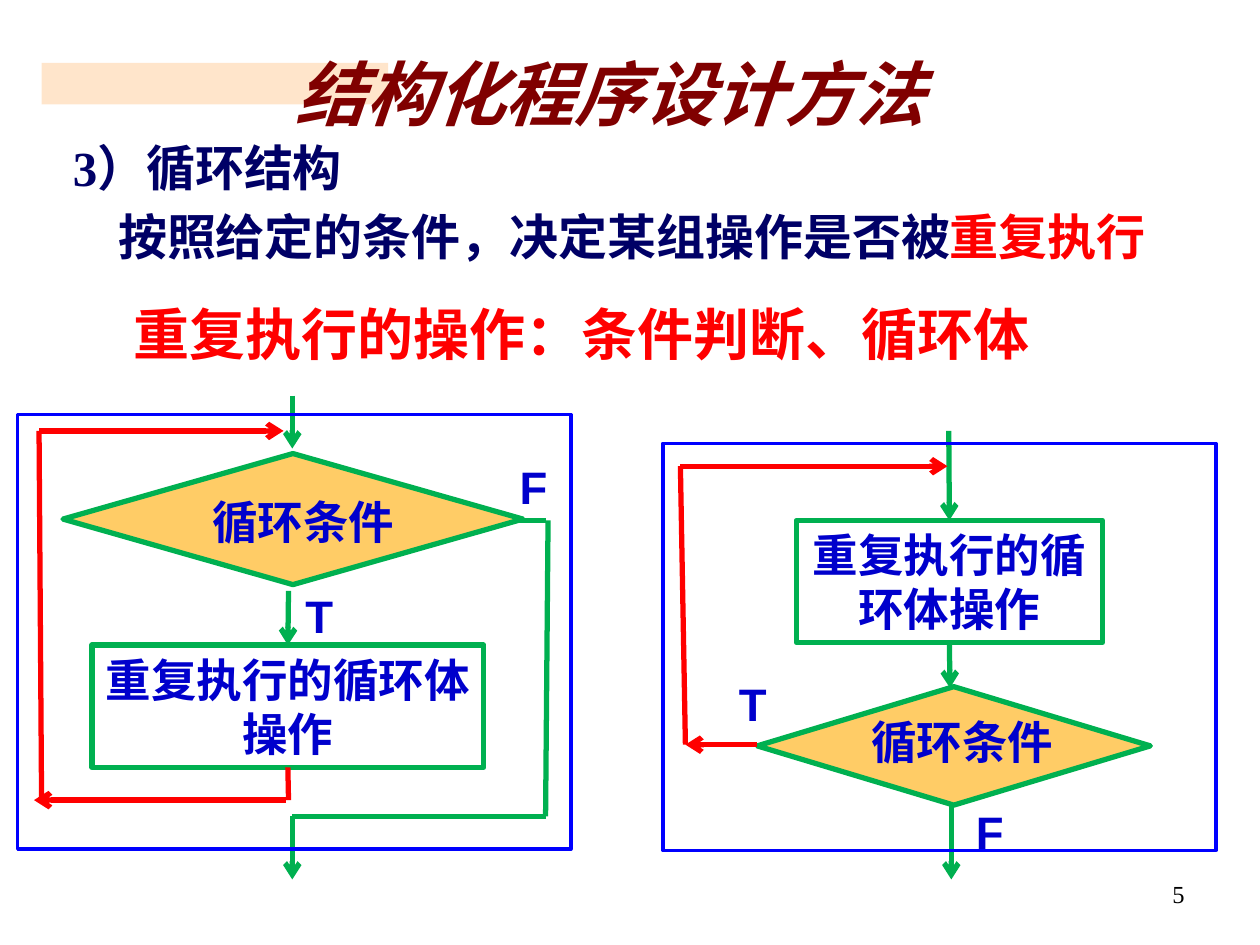
from dataclasses import dataclass
from typing import Optional

from lxml.etree import SubElement
from pptx import Presentation
from pptx.dml.color import RGBColor
from pptx.enum.shapes import MSO_CONNECTOR, MSO_SHAPE
from pptx.enum.text import MSO_ANCHOR, PP_ALIGN
from pptx.oxml.ns import qn
from pptx.util import Inches, Pt

BLACK = RGBColor(0x00, 0x00, 0x00)
WHITE = RGBColor(0xFF, 0xFF, 0xFF)
PEACH = RGBColor(0xFF, 0xCC, 0x99)
MAROON = RGBColor(0x80, 0x00, 0x00)
NAVY = RGBColor(0x00, 0x00, 0x66)
RED = RGBColor(0xFF, 0x00, 0x00)
GREEN = RGBColor(0x00, 0xB0, 0x50)
AMBER = RGBColor(0xFF, 0xCC, 0x66)
LABEL_BLUE = RGBColor(0x00, 0x00, 0xCC)
FRAME_BLUE = RGBColor(0x00, 0x00, 0xFF)

TOP, BOTTOM = 0, 2
CONDITION = "循环条件"
LOOP_BODY = "重复执行的循环体操作"
LABEL = {"size": Pt(26), "name": "Arial", "bold": True}
BODY = {"size": Pt(28), "name": "Times New Roman", "bold": True}


@dataclass
class Box:
    left: float
    top: float
    width: float
    height: float

    def inches(self) -> list:
        return [Inches(v) for v in (self.left, self.top, self.width, self.height)]


@dataclass
class Line:
    start: tuple
    end: tuple
    color: RGBColor = GREEN
    arrow: bool = False
    begin_side: Optional[int] = None
    end_side: Optional[int] = None


@dataclass
class Flow:
    frame: Box
    process: Box
    process_fill: Optional[RGBColor]
    decision: Box
    labels: list
    lines: list


def add_run(p, text: str, fmt: dict, color: RGBColor):
    r = p.add_run()
    r.text = text
    for name, value in fmt.items():
        setattr(r.font, name, value)
    r.font.color.rgb = color
    return r


def add_text(s, box: Box, text: str, fmt: dict, color: RGBColor,
             align=PP_ALIGN.CENTER, wrap: bool = True):
    tf = s.shapes.add_textbox(*box.inches()).text_frame
    tf.word_wrap = wrap
    p = tf.paragraphs[0]
    p.alignment = align
    add_run(p, text, fmt, color)
    return tf


def add_box(s, kind, box: Box, fill: Optional[RGBColor] = None,
            line: Optional[RGBColor] = None, width: float = 3):
    sp = s.shapes.add_shape(kind, *box.inches())
    sp.shadow.inherit = False
    if fill is None:
        sp.fill.background()
    else:
        sp.fill.solid()
        sp.fill.fore_color.rgb = fill
    if line is None:
        sp.line.fill.background()
    else:
        sp.line.color.rgb = line
        sp.line.width = Pt(width)
    return sp


def add_line(s, line: Line, process) -> None:
    points = [Inches(v) for v in (*line.start, *line.end)]
    cxn = s.shapes.add_connector(MSO_CONNECTOR.STRAIGHT, *points)
    if line.begin_side is not None:
        cxn.begin_connect(process, line.begin_side)
    if line.end_side is not None:
        cxn.end_connect(process, line.end_side)
    cxn.line.color.rgb = line.color
    cxn.line.width = Pt(3)
    if line.arrow:
        SubElement(cxn.line._get_or_add_ln(), qn("a:tailEnd"), type="arrow")
    SubElement(cxn._element.spPr, qn("a:effectLst"))


def add_flow(s, flow: Flow) -> None:
    process = add_box(s, MSO_SHAPE.RECTANGLE, flow.process, flow.process_fill, GREEN)
    tf = process.text_frame
    tf.word_wrap = True
    p = tf.paragraphs[0]
    p.alignment = PP_ALIGN.CENTER
    add_run(p, LOOP_BODY, LABEL, LABEL_BLUE)
    add_box(s, MSO_SHAPE.FLOWCHART_DECISION, flow.decision, AMBER, GREEN)
    for text, box in flow.labels:
        add_text(s, box, text, LABEL, LABEL_BLUE)
    for line in flow.lines:
        add_line(s, line, process)
    add_box(s, MSO_SHAPE.RECTANGLE, flow.frame, line=FRAME_BLUE, width=2)


FLOWS = [
    Flow(
        frame=Box(0.14, 3.29, 4.39, 3.45),
        process=Box(0.73, 5.12, 3.11, 0.97),
        process_fill=WHITE,
        decision=Box(0.5, 3.6, 3.65, 1.04),
        labels=[(CONDITION, Box(1.33, 3.87, 2.16, 0.54)),
                ("T", Box(2.16, 4.62, 0.75, 0.54)),
                ("F", Box(3.86, 3.59, 0.75, 0.54))],
        lines=[Line((2.32, 3.14), (2.32, 3.56), arrow=True),
               Line((2.29, 4.69), (2.29, 5.12), arrow=True, end_side=TOP),
               Line((2.29, 6.09), (2.29, 6.35), RED, begin_side=BOTTOM),
               Line((2.27, 6.35), (0.27, 6.35), RED, arrow=True),
               Line((0.33, 6.35), (0.31, 3.42), RED),
               Line((0.31, 3.42), (2.25, 3.42), RED, arrow=True),
               Line((4.33, 4.13), (4.11, 4.13)),
               Line((4.33, 6.48), (4.35, 4.13)),
               Line((4.33, 6.48), (2.32, 6.48)),
               Line((2.32, 6.48), (2.32, 6.98), arrow=True)],
    ),
    Flow(
        frame=Box(5.26, 3.52, 4.39, 3.23),
        process=Box(6.32, 4.13, 2.43, 0.97),
        process_fill=None,
        decision=Box(6.01, 5.45, 3.12, 0.94),
        labels=[(CONDITION, Box(6.72, 5.62, 1.84, 0.54)),
                ("T", Box(5.6, 5.32, 0.75, 0.54)),
                ("F", Box(7.48, 6.33, 0.75, 0.54))],
        lines=[Line((7.53, 3.42), (7.53, 4.13), arrow=True, end_side=TOP),
               Line((7.53, 5.1), (7.54, 5.46), arrow=True, begin_side=BOTTOM),
               Line((6.01, 5.91), (5.44, 5.91), RED, arrow=True),
               Line((5.44, 5.91), (5.4, 3.7), RED),
               Line((5.4, 3.7), (7.52, 3.7), RED, arrow=True),
               Line((7.55, 6.4), (7.55, 6.98), arrow=True)],
    ),
]


def add_heading(s) -> None:
    bar = add_box(s, MSO_SHAPE.RECTANGLE, Box(0.33, 0.5, 2.75, 0.33), PEACH)
    color = bar._element.spPr.find(qn("a:solidFill"))[0]
    SubElement(color, qn("a:alpha"), val="50000")
    tf = add_text(s, Box(0.27, 0.22, 9.14, 1.13), "结构化程序设计方法",
                  {"size": Pt(40), "name": "Arial", "bold": True, "italic": True}, MAROON)
    tf.vertical_anchor = MSO_ANCHOR.MIDDLE
    p = tf.paragraphs[0]
    p.line_spacing = 0.85
    effects = SubElement(p.runs[0]._r.rPr, qn("a:effectLst"))
    p.runs[0]._r.rPr.find(qn("a:solidFill")).addnext(effects)
    shadow = SubElement(effects, qn("a:outerShdw"), dist="17961", dir="2700000")
    SubElement(shadow, qn("a:srgbClr"), val=str(BLACK))


def add_body(s) -> None:
    tf = add_text(s, Box(0.48, 1.08, 9.33, 1.19), "3）循环结构", BODY, NAVY, PP_ALIGN.LEFT)
    p = tf.add_paragraph()
    p.space_before = Pt(7)
    p._p.get_or_add_pPr().set("indent", str(Inches(0.36)))
    add_run(p, "按照给定的条件，决定某组操作是否被", BODY, NAVY)
    add_run(p, "重复执行", BODY, RED)
    for p in tf.paragraphs:
        p.line_spacing = 0.95
    add_text(s, Box(0.96, 2.33, 7.32, 0.64), "重复执行的操作：条件判断、循环体",
             BODY | {"size": Pt(32)}, RED, PP_ALIGN.LEFT, wrap=False)


def main() -> None:
    prs = Presentation()
    prs.slide_width, prs.slide_height = Inches(10), Inches(7.5)
    s = prs.slides.add_slide(prs.slide_layouts[6])
    add_heading(s)
    add_body(s)
    for flow in FLOWS:
        add_flow(s, flow)
    add_text(s, Box(7.17, 6.93, 2.33, 0.52), "5",
             {"size": Pt(14), "name": "Times New Roman"}, BLACK, PP_ALIGN.RIGHT)
    prs.save("out.pptx")


if __name__ == "__main__":
    main()
